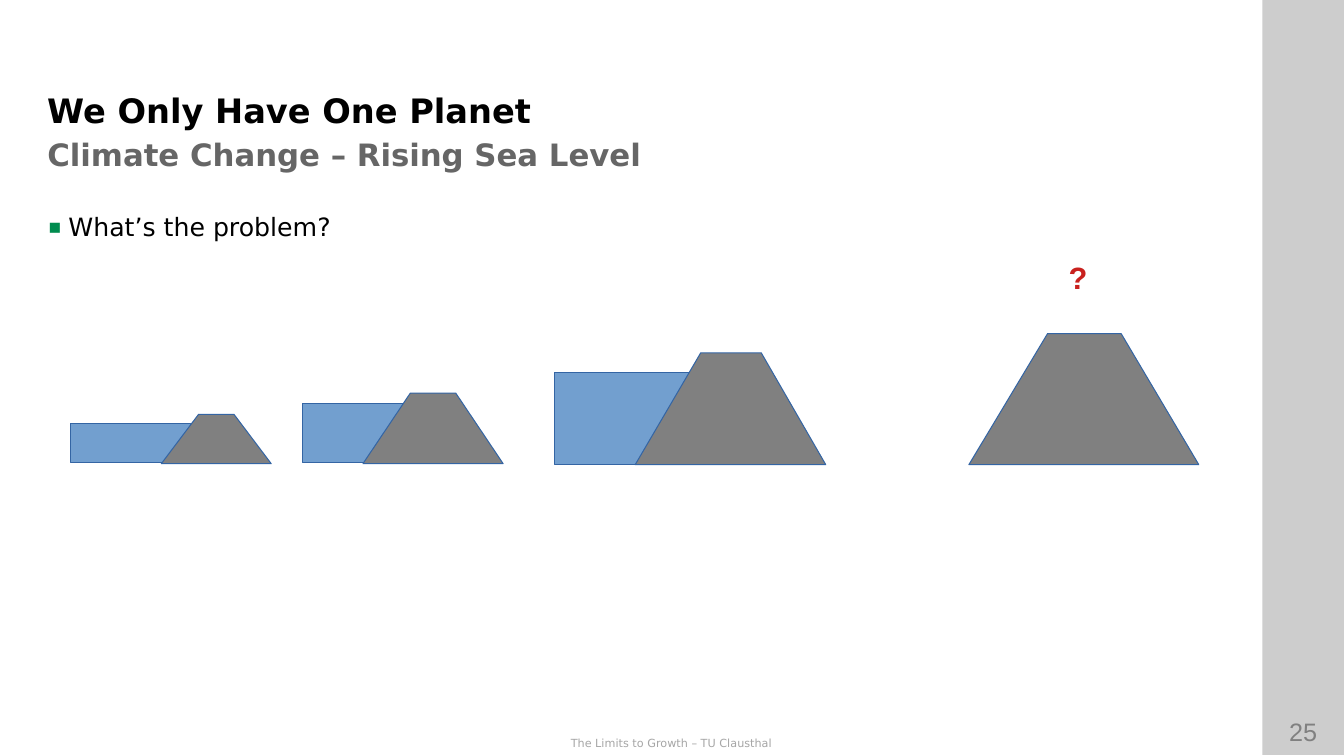
from dataclasses import dataclass
from typing import Optional

import pptx
import pptx.dml.color
import pptx.enum.shapes
import pptx.enum.text
import pptx.oxml
import pptx.oxml.ns
import pptx.util
from pptx.util import Inches

COLORS = {
    "title": "000000",
    "subtitle": "666666",
    "bullet": "008C4F",
    "question": "C9211E",
    "footer": "A6A6A6",
    "number": "808080",
    "sidebar": "CDCDCD",
    "water": "729FCF",
    "dike": "808080",
    "outline": "3465A4",
}
SANS = "DejaVu Sans"
ALIGN = pptx.enum.text.PP_ALIGN
ANCHOR = pptx.enum.text.MSO_ANCHOR


@dataclass
class Label:
    text: str
    left: float
    top: float
    width: float
    height: float
    size: float
    color: str
    font: str = SANS
    bold: bool = False
    align: ALIGN = ALIGN.LEFT
    anchor: ANCHOR = ANCHOR.TOP
    inset: tuple[float, float] = (0.1, 0.05)
    bullet: bool = False


@dataclass
class Water:
    left: float
    top: float
    width: float
    height: float


@dataclass
class Dike:
    left: float
    right: float
    crest_left: float
    crest_right: float
    top: float
    bottom: float
    water: Optional[Water] = None


LABELS = [
    Label("25", 12.51, 7.06, 0.83, 0.4, 18, "number", "Arial", align=ALIGN.CENTER),
    Label("The Limits to Growth – TU Clausthal", 0, 7.26, 13.32, 0.23, 8, "footer",
          align=ALIGN.CENTER),
    Label("We Only Have One Planet", 0.37, 0.84, 11.75, 0.54, 24, "title", bold=True),
    Label("Climate Change – Rising Sea Level", 0.47, 1.26, 11.32, 0.54, 22, "subtitle",
          bold=True, anchor=ANCHOR.MIDDLE, inset=(0, 0)),
    Label("What’s the problem?", 0.37, 2.05, 11.75, 0.4, 18, "title", bullet=True),
    Label("?", 10.5, 2.52, 0.4, 0.43, 22, "question", "Arial", bold=True),
]

DIKES = [
    Dike(1.6, 2.69, 1.97, 2.32, 4.11, 4.6, Water(0.7, 4.2, 1.19, 0.39)),
    Dike(3.6, 4.99, 4.07, 4.52, 3.9, 4.6, Water(3, 4, 1.19, 0.59)),
    Dike(6.3, 8.19, 6.95, 7.55, 3.5, 4.61, Water(5.5, 3.7, 1.49, 0.91)),
    Dike(9.61, 11.89, 10.39, 11.12, 3.31, 4.61),
]


def rgb(name: str) -> pptx.dml.color.RGBColor:
    return pptx.dml.color.RGBColor.from_string(COLORS[name])


def paint(shape, fill: str, outline: Optional[str] = None) -> None:
    shape.shadow.inherit = False
    shape.fill.solid()
    shape.fill.fore_color.rgb = rgb(fill)
    if outline:
        shape.line.color.rgb = rgb(outline)
        shape.line.width = pptx.util.Pt(0)
    else:
        shape.line.fill.background()


def add_rectangle(slide, left: float, top: float, width: float, height: float):
    return slide.shapes.add_shape(
        pptx.enum.shapes.MSO_SHAPE.RECTANGLE,
        Inches(left), Inches(top), Inches(width), Inches(height))


def add_bullet(paragraph) -> None:
    properties = paragraph._p.get_or_add_pPr()
    properties.set("marL", str(Inches(0.21)))
    properties.set("indent", str(Inches(-0.2)))
    namespace = pptx.oxml.ns.nsdecls("a")
    for element in (
        f'<a:buClr {namespace}><a:srgbClr val="{COLORS["bullet"]}"/></a:buClr>',
        f'<a:buSzPct {namespace} val="80000"/>',
        f'<a:buFont {namespace} typeface="{SANS}"/>',
        f'<a:buChar {namespace} char="▪"/>',
    ):
        properties.append(pptx.oxml.parse_xml(element))


def add_label(slide, label: Label) -> None:
    box = slide.shapes.add_textbox(
        Inches(label.left), Inches(label.top), Inches(label.width), Inches(label.height))
    frame = box.text_frame
    frame.word_wrap = True
    frame.vertical_anchor = label.anchor
    frame.margin_left = frame.margin_right = Inches(label.inset[0])
    frame.margin_top = frame.margin_bottom = Inches(label.inset[1])
    frame.text = label.text
    paragraph = frame.paragraphs[0]
    paragraph.alignment = label.align
    if label.bullet:
        add_bullet(paragraph)
    font = paragraph.runs[0].font
    font.name = label.font
    font.size = pptx.util.Pt(label.size)
    font.bold = label.bold
    font.color.rgb = rgb(label.color)


def add_dike(slide, dike: Dike) -> None:
    water = dike.water
    if water:
        sea = add_rectangle(slide, water.left, water.top, water.width, water.height)
        paint(sea, "water", "outline")
    builder = slide.shapes.build_freeform(Inches(dike.left), Inches(dike.bottom))
    builder.add_line_segments([
        (Inches(dike.crest_left), Inches(dike.top)),
        (Inches(dike.crest_right), Inches(dike.top)),
        (Inches(dike.right), Inches(dike.bottom)),
    ], close=True)
    paint(builder.convert_to_shape(), "dike", "outline")


def main() -> None:
    presentation = pptx.Presentation()
    presentation.slide_width = Inches(13.33)
    presentation.slide_height = Inches(7.5)
    slide = presentation.slides.add_slide(presentation.slide_layouts[6])

    # Sidebar
    paint(add_rectangle(slide, 12.52, 0, 0.81, 7.49), "sidebar")

    # Dikes growing with the sea level
    for dike in DIKES:
        add_dike(slide, dike)

    # Texts
    for label in LABELS:
        add_label(slide, label)

    presentation.save("out.pptx")


if __name__ == "__main__":
    main()
